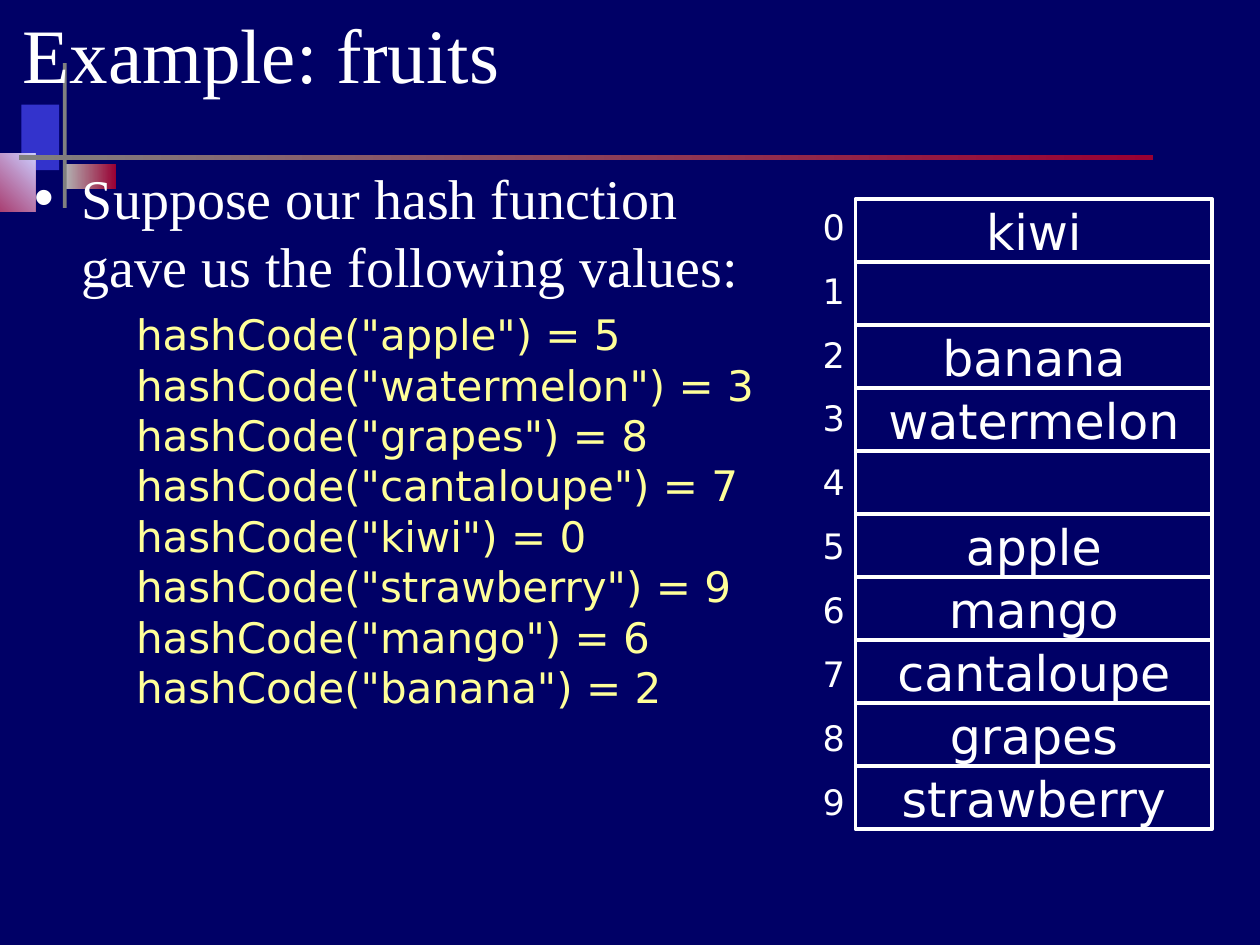
from dataclasses import dataclass

from lxml.etree import SubElement
from pptx import Presentation
from pptx.dml.color import RGBColor
from pptx.enum.shapes import MSO_SHAPE
from pptx.enum.text import MSO_ANCHOR, MSO_AUTO_SIZE, PP_ALIGN
from pptx.oxml.ns import qn
from pptx.util import Inches, Pt


@dataclass(frozen=True)
class Theme:
    """Colours, fonts and type sizes of the deck."""
    background: str = "000066"
    text: str = "FFFFFF"
    code: str = "FFFF99"
    blue: str = "3333CC"
    lilac: str = "CCCCFF"
    red: str = "990033"
    silver: str = "B2B2B2"
    gray: str = "808080"
    serif: str = "Times New Roman"
    sans: str = "DejaVu Sans"
    title_size: int = 44
    body_size: int = 32
    code_size: int = 24
    cell_size: int = 28
    index_size: int = 20
    leading: float = 1.2


@dataclass(frozen=True)
class Box:
    """A rectangle on the page, in inches."""
    left: float
    top: float
    width: float
    height: float

    def lengths(self):
        """Return left, top, width and height as slide lengths."""
        return [Inches(n) for n in (self.left, self.top, self.width, self.height)]


THEME = Theme()
HASH_CODES = {
    "apple": 5, "watermelon": 3, "grapes": 8, "cantaloupe": 7,
    "kiwi": 0, "strawberry": 9, "mango": 6, "banana": 2,
}
SLOT_COUNT = 10


def write(para, text, size, font=THEME.sans, color=THEME.text, align=PP_ALIGN.LEFT,
          before=0, level=0, bullet=None, margin=0, hanging=0):
    """Fill a paragraph with text in the given format."""
    para.text = text
    para.level = level
    if bullet:
        properties = para._p.get_or_add_pPr()
        properties.set("marL", str(Inches(margin)))
        properties.set("indent", str(-Inches(hanging)))
        bullet_color = SubElement(properties, qn("a:buClr"))
        SubElement(bullet_color, qn("a:srgbClr"), val=color)
        SubElement(properties, qn("a:buChar"), char=bullet)
    para.alignment = align
    para.space_before = Pt(before)
    para.line_spacing = Pt(round(size * THEME.leading, 1))
    for span in para.runs:
        span.font.size = Pt(size)
        span.font.name = font
        span.font.color.rgb = RGBColor.from_string(color)


def add_rectangle(shapes, box, colors=(), angle=0, kind=MSO_SHAPE.RECTANGLE):
    """Add a shape with no, one or two fill colours and no line."""
    shape = shapes.add_shape(kind, *box.lengths())
    shape.shadow.inherit = False
    shape.line.fill.background()
    if len(colors) == 2:
        shape.fill.gradient()
        shape.fill.gradient_angle = angle
        for stop, color, position in zip(shape.fill.gradient_stops, colors, (0, 1)):
            stop.color.rgb = RGBColor.from_string(color)
            stop.position = position
    elif colors:
        shape.fill.solid()
        shape.fill.fore_color.rgb = RGBColor.from_string(colors[0])
    else:
        shape.fill.background()
    return shape


def place_placeholder(placeholder, box, anchor):
    """Move a placeholder into the box, in front of earlier shapes."""
    placeholder.left, placeholder.top, placeholder.width, placeholder.height = box.lengths()
    frame = placeholder.text_frame
    frame.auto_size = MSO_AUTO_SIZE.NONE
    frame.word_wrap = True
    frame.vertical_anchor = anchor
    placeholder.element.getparent().append(placeholder.element)
    return frame


def add_ornament(page, box):
    """Draw the coloured blocks and the crossing rules in the box."""
    parts = [
        (0.5, -0.4, 0.3, 0.52, (THEME.blue,), 0),
        (0.85, 0.07, 0.4, 0.2, (THEME.silver, THEME.red), 0),
        (0, -0.01, 0.61, 0.46, (THEME.red, THEME.lilac), 45),
        (0.83, -0.73, 0.03, 1.15, (THEME.gray,), 0),
        (0.48, 0, box.width - 0.48, box.height, (THEME.gray, THEME.red), 0),
    ]
    for left, top, width, height, colors, angle in parts:
        part = Box(box.left + left, box.top + top, width, height)
        add_rectangle(page.shapes, part, colors, angle)


def add_title(page, box):
    """Place the slide title in the box."""
    frame = place_placeholder(page.shapes.title, box, MSO_ANCHOR.MIDDLE)
    write(frame.paragraphs[0], "Example: fruits", THEME.title_size, font=THEME.serif)


def add_body(page, box):
    """Place the statement and the list of hash codes in the box."""
    frame = place_placeholder(page.placeholders[1], box, MSO_ANCHOR.TOP)
    write(frame.paragraphs[0], "Suppose our hash function gave us the following values:",
          THEME.body_size, font=THEME.serif, bullet="•", margin=0.38, hanging=0.38)
    calls = "\v".join(f'hashCode("{fruit}") = {code}' for fruit, code in HASH_CODES.items())
    write(frame.add_paragraph(), calls, THEME.code_size, color=THEME.code,
          before=6, level=1, bullet=" ", margin=0.81, hanging=0.31)


def add_hash_table(page, box):
    """Draw the numbered slots of the hash table in the box."""
    index_width = 0.36
    slot_height = box.height / SLOT_COUNT
    fruits = {code: fruit for fruit, code in HASH_CODES.items()}
    shapes = page.shapes.add_group_shape().shapes
    for index in range(SLOT_COUNT):
        slot = Box(box.left + index_width, box.top + index * slot_height,
                   box.width - index_width, slot_height)
        cell = add_rectangle(shapes, slot, kind=MSO_SHAPE.FLOWCHART_PROCESS)
        cell.line.color.rgb = RGBColor.from_string(THEME.text)
        cell.line.width = Pt(2.25)
        if index in fruits:
            cell.text_frame.word_wrap = False
            cell.text_frame.vertical_anchor = MSO_ANCHOR.MIDDLE
            write(cell.text_frame.paragraphs[0], fruits[index], THEME.cell_size,
                  align=PP_ALIGN.CENTER)
    index_box = Box(box.left, box.top, index_width, box.height)
    frame = shapes.add_textbox(*index_box.lengths()).text_frame
    frame.word_wrap = False
    for index in range(SLOT_COUNT):
        para = frame.add_paragraph() if index else frame.paragraphs[0]
        write(para, str(index), THEME.index_size, before=12.5 if index else 0)


def main():
    """Build the deck and save it."""
    deck = Presentation()
    deck.slide_width, deck.slide_height = Inches(10), Inches(7.5)
    page = deck.slides.add_slide(deck.slide_layouts[1])
    page.background.fill.solid()
    page.background.fill.fore_color.rgb = RGBColor.from_string(THEME.background)
    add_ornament(page, Box(-0.33, 1.23, 9.48, 0.04))
    add_title(page, Box(0.08, 0.08, 9.06, 0.67))
    add_body(page, Box(0.17, 1.25, 6.17, 5.92))
    add_hash_table(page, Box(6.43, 1.58, 3.19, 5))
    deck.save("out.pptx")


if __name__ == "__main__":
    main()
